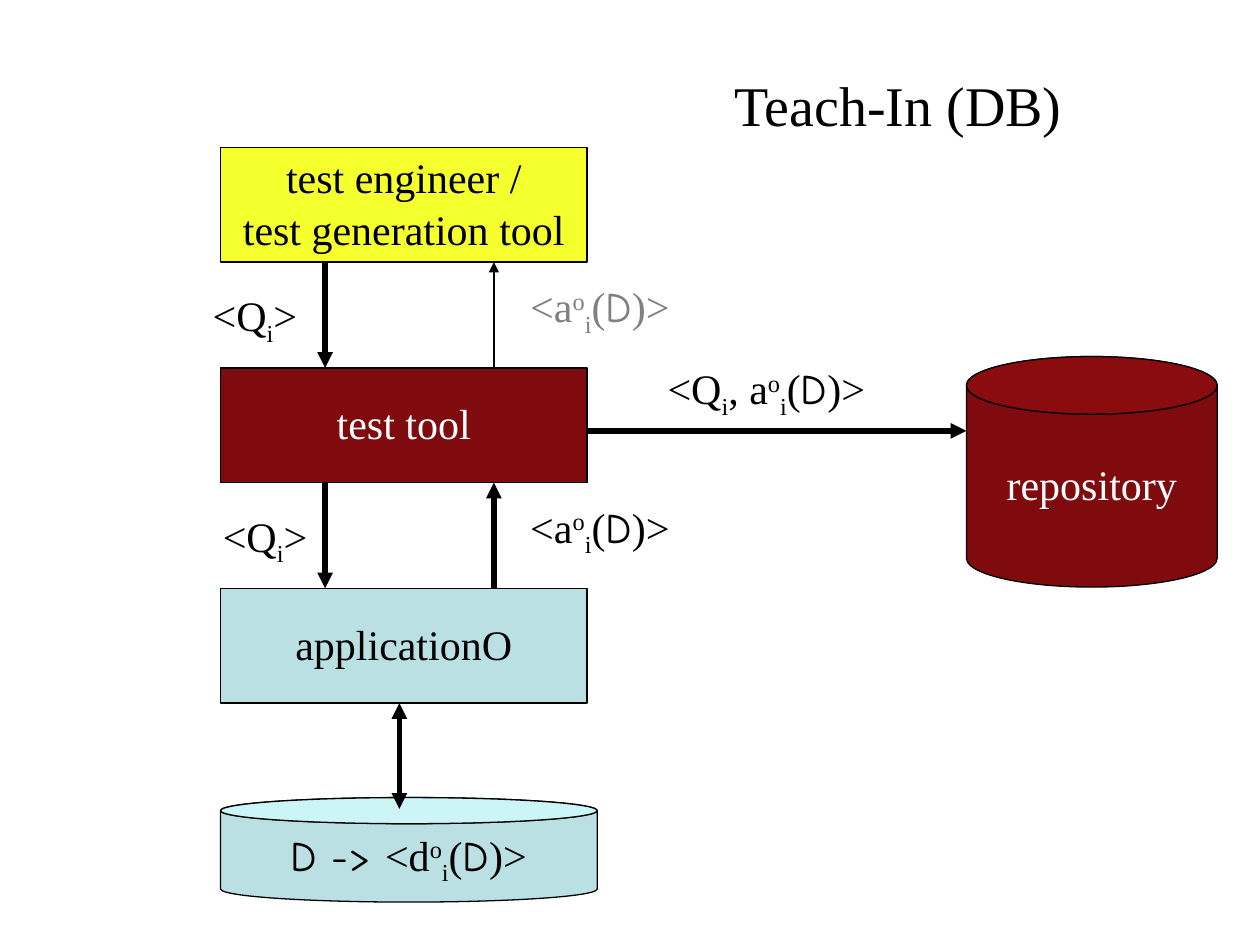
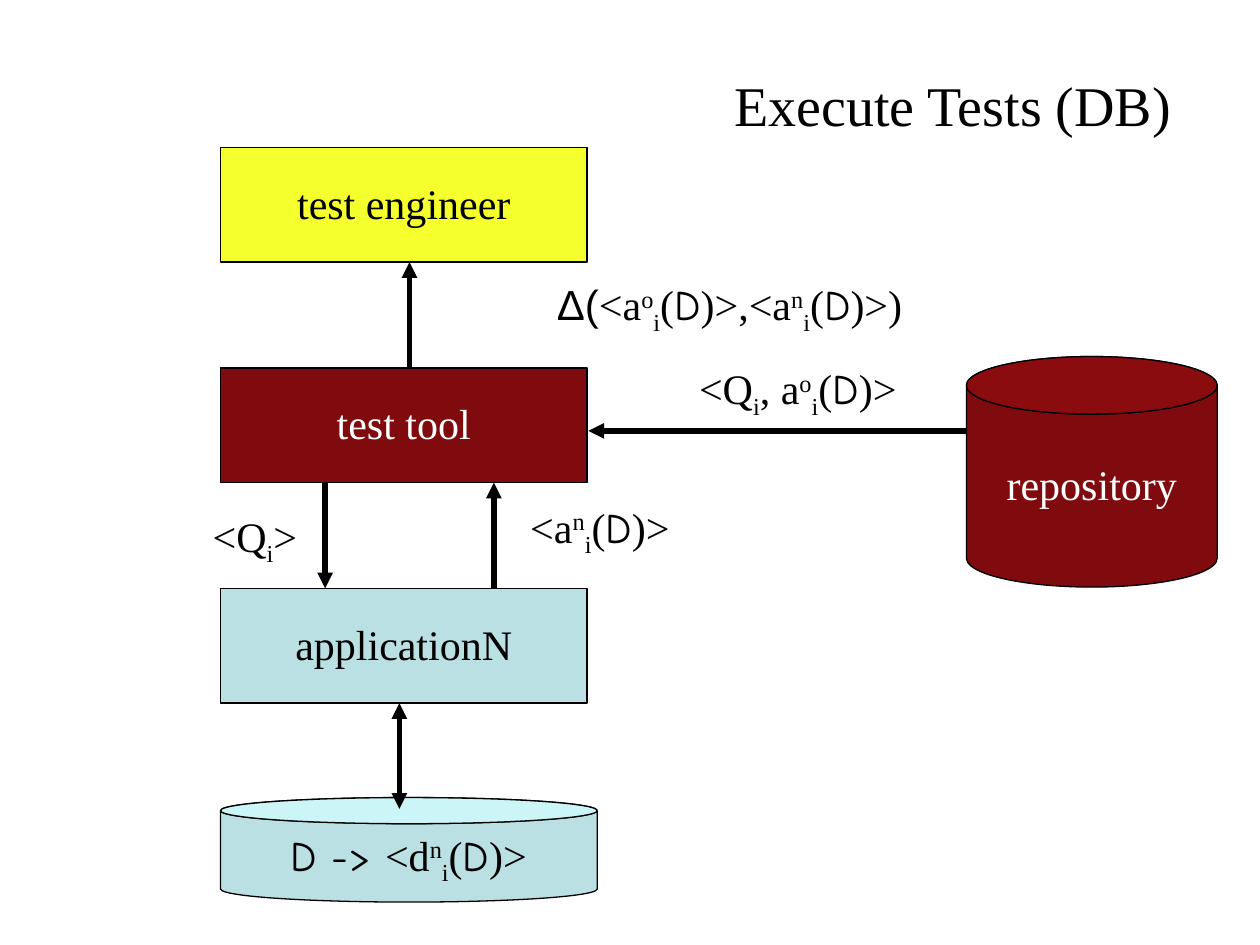
from dataclasses import dataclass
from typing import NamedTuple

from lxml import etree
from pptx import Presentation
from pptx.dml.color import RGBColor
from pptx.enum.shapes import MSO_CONNECTOR, MSO_SHAPE
from pptx.enum.text import MSO_ANCHOR, PP_ALIGN
from pptx.oxml.ns import qn
from pptx.util import Inches, Pt


# Theme
@dataclass(frozen=True)
class Theme:
    black: str = "000000"
    white: str = "FFFFFF"
    gray: str = "808080"
    yellow: str = "F5FF2D"
    red: str = "7F0B0E"
    red_lid: str = "8A0C0F"
    blue: str = "BBE0E3"
    blue_lid: str = "CCF5F8"
    serif: str = "Times New Roman"
    sans: str = "Arial"
    comic: str = "Comic Neue"
    body: int = 24
    title: int = 32
    outline: float = 0.75
    thin: float = 1
    thick: float = 3
    spacing: float = 0.95


T = Theme()


class Run(NamedTuple):
    text: str
    font: str = T.serif
    baseline: int = 0


Runs = list[Run]


class Box(NamedTuple):
    left: float
    top: float
    width: float
    height: float

    def inches(self) -> list[int]:
        return [Inches(v) for v in self]


@dataclass(frozen=True)
class Node:
    box: Box
    lines: list[Runs]
    fill: str
    color: str = T.black
    lid: str = ""  # a lid colour makes the node a cylinder


@dataclass(frozen=True)
class Label:
    box: Box
    runs: Runs
    color: str = T.black
    size: int = T.body
    centered: bool = False


@dataclass(frozen=True)
class Arrow:
    start: tuple[float, float]
    end: tuple[float, float]
    width: float = T.thick
    both_ends: bool = False


@dataclass(frozen=True)
class Scene:
    title: str
    title_width: float
    engineer: list[str]
    version: str  # superscript: o = old, n = new
    query_left: float
    labels: list[Label]
    arrows: list[Arrow]


# Layout
COL_LEFT, COL_WIDTH, ROW_TOP, ROW_PITCH, ROW_HEIGHT = 1.75, 2.91, 1.17, 1.75, 0.91
QUERY_X, ANSWER_X, ENGINEER_X, DATA_X = 2.58, 3.92, 3.25, 3.17
TOOL_SIDE, REPO_SIDE = (4.67, 3.42), (7.67, 3.42)
REPOSITORY = Box(7.67, 2.83, 1.99, 1.83)
DATABASE = Box(1.75, 6.33, 2.99, 0.83)
LID_SHARE = 0.25


def row_box(row: int) -> Box:
    return Box(COL_LEFT, ROW_TOP + row * ROW_PITCH, COL_WIDTH, ROW_HEIGHT)


def link(x: float, row: int, up: bool = False, width: float = T.thick) -> Arrow:
    """Arrow across the gap below a row."""
    top = (x, row_box(row).top + ROW_HEIGHT)
    bottom = (x, row_box(row + 1).top)
    return Arrow(bottom, top, width) if up else Arrow(top, bottom, width)


# Formulas
INDEX = Run("i", baseline=-25)
QUERY = [Run("<Q"), INDEX, Run(">")]


def state(version: str, close: str = ")>") -> Runs:
    return [Run(version, baseline=30), INDEX, Run("("), Run("D", T.comic), Run(close)]


def answer(version: str) -> Runs:
    return [Run("<a"), *state(version)]


STORED = [Run("<Q"), INDEX, Run(", a"), *state("o")]
DELTA = [Run("Δ(", T.sans), Run("<a"), *state("o", ")>,<a"), *state("n", ")>)")]


def query_label(left: float, top: float) -> Label:
    return Label(Box(left, top, 0.9, 0.54), QUERY)


def answer_label(top: float, version: str, color: str = T.black) -> Label:
    return Label(Box(4.11, top, 1.35, 0.54), answer(version), color)


def stored_label(left: float) -> Label:
    return Label(Box(left, 2.83, 1.8, 0.54), STORED)


# Drawing
def write(tf, lines: list[Runs], color: str, size: int, align: PP_ALIGN) -> None:
    for i, runs in enumerate(lines):
        p = tf.add_paragraph() if i else tf.paragraphs[0]
        p.alignment = align
        if i == 0:
            p.line_spacing = T.spacing
        for run in runs:
            r = p.add_run()
            r.text = run.text
            r.font.name = run.font
            r.font.size = Pt(size)
            r.font.color.rgb = RGBColor.from_string(color)
            if run.baseline:
                r.font._element.set("baseline", str(run.baseline * 1000))


def add_filled(s, kind: MSO_SHAPE, box: Box, fill: str):
    sp = s.shapes.add_shape(kind, *box.inches())
    sp.shadow.inherit = False
    sp.fill.solid()
    sp.fill.fore_color.rgb = RGBColor.from_string(fill)
    sp.line.color.rgb = RGBColor.from_string(T.black)
    sp.line.width = Pt(T.outline)
    return sp


def add_node(s, node: Node) -> None:
    kind = MSO_SHAPE.CAN if node.lid else MSO_SHAPE.RECTANGLE
    sp = add_filled(s, kind, node.box, node.fill)
    if node.lid:
        sp.adjustments[0] = LID_SHARE
        lid = node.box._replace(height=node.box.height * LID_SHARE)
        add_filled(s, MSO_SHAPE.OVAL, lid, node.lid)
    tf = sp.text_frame
    tf.word_wrap = True
    tf.vertical_anchor = MSO_ANCHOR.MIDDLE
    write(tf, node.lines, node.color, T.body, PP_ALIGN.CENTER)


def add_label(s, label: Label) -> None:
    tf = s.shapes.add_textbox(*label.box.inches()).text_frame
    tf.word_wrap = False
    tf.vertical_anchor = MSO_ANCHOR.MIDDLE if label.centered else MSO_ANCHOR.TOP
    align = PP_ALIGN.CENTER if label.centered else PP_ALIGN.LEFT
    write(tf, [label.runs], label.color, label.size, align)


def add_arrow(s, arrow: Arrow) -> None:
    points = [Inches(v) for v in (*arrow.start, *arrow.end)]
    cx = s.shapes.add_connector(MSO_CONNECTOR.STRAIGHT, *points)
    cx.line.color.rgb = RGBColor.from_string(T.black)
    cx.line.width = Pt(arrow.width)
    ends = ["a:headEnd", "a:tailEnd"] if arrow.both_ends else ["a:tailEnd"]
    for end in ends:
        etree.SubElement(cx.line._get_or_add_ln(), qn(end), type="triangle")
    etree.SubElement(cx._element.spPr, qn("a:effectLst"))


def add_scene(prs, scene: Scene) -> None:
    s = prs.slides.add_slide(prs.slide_layouts[6])
    version = scene.version
    data = [Run("D -> ", T.comic), Run("<d"), *state(version)]

    # Stack of components, database and repository
    nodes = [
        Node(row_box(0), [[Run(line)] for line in scene.engineer], T.yellow),
        Node(row_box(1), [[Run("test tool")]], T.red, T.white),
        Node(row_box(2), [[Run("application" + version.upper())]], T.blue),
        Node(DATABASE, [data], T.blue, lid=T.blue_lid),
        Node(REPOSITORY, [[Run("repository")]], T.red, T.white, T.red_lid),
    ]
    for node in nodes:
        add_node(s, node)

    # Data flow
    shared_arrows = [
        link(QUERY_X, 1),
        link(ANSWER_X, 1, up=True),
        Arrow((DATA_X, 5.58), (DATA_X, 6.42), both_ends=True),
    ]
    for arrow in shared_arrows + scene.arrows:
        add_arrow(s, arrow)

    # Title and flow labels
    shared_labels = [
        Label(Box(5.73, 0.55, scene.title_width, 0.61), [Run(scene.title)], size=T.title),
        query_label(scene.query_left, 4),
        answer_label(3.93, version),
    ]
    for label in shared_labels + scene.labels:
        add_label(s, label)


SCENES = [
    Scene(
        "Teach-In (DB)", 2.85, ["test engineer /", "test generation tool"], "o", 1.67,
        labels=[query_label(1.59, 2.25), answer_label(2.18, "o", T.gray), stored_label(5.2)],
        arrows=[
            link(QUERY_X, 0),
            link(ANSWER_X, 0, up=True, width=T.thin),
            Arrow(TOOL_SIDE, REPO_SIDE),
        ],
    ),
    Scene(
        "Execute Tests (DB)", 3.75, ["test engineer"], "n", 1.59,
        labels=[Label(Box(4.29, 2.15, 3, 0.56), DELTA, centered=True), stored_label(5.45)],
        arrows=[link(ENGINEER_X, 0, up=True), Arrow(REPO_SIDE, TOOL_SIDE)],
    ),
]


def main() -> None:
    prs = Presentation()
    prs.slide_width, prs.slide_height = Inches(10), Inches(7.5)
    for scene in SCENES:
        add_scene(prs, scene)
    prs.save("out.pptx")


if __name__ == "__main__":
    main()
